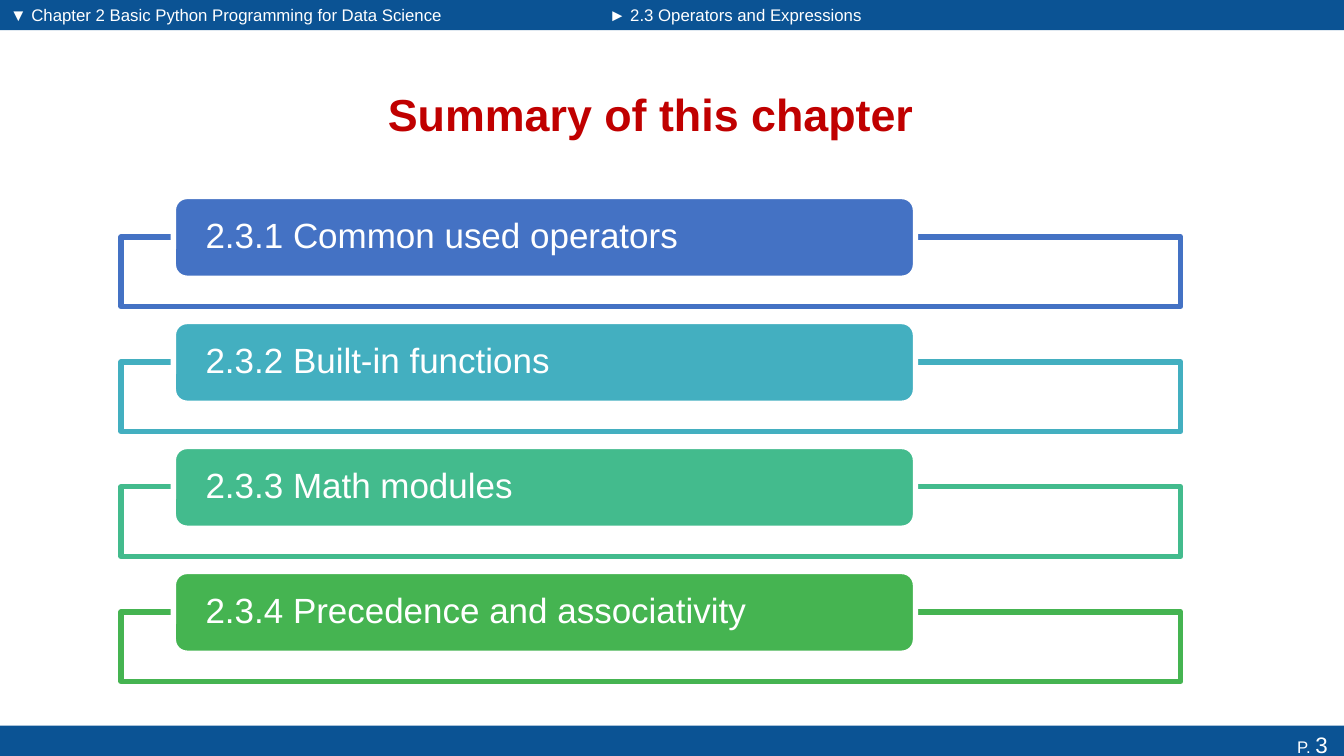
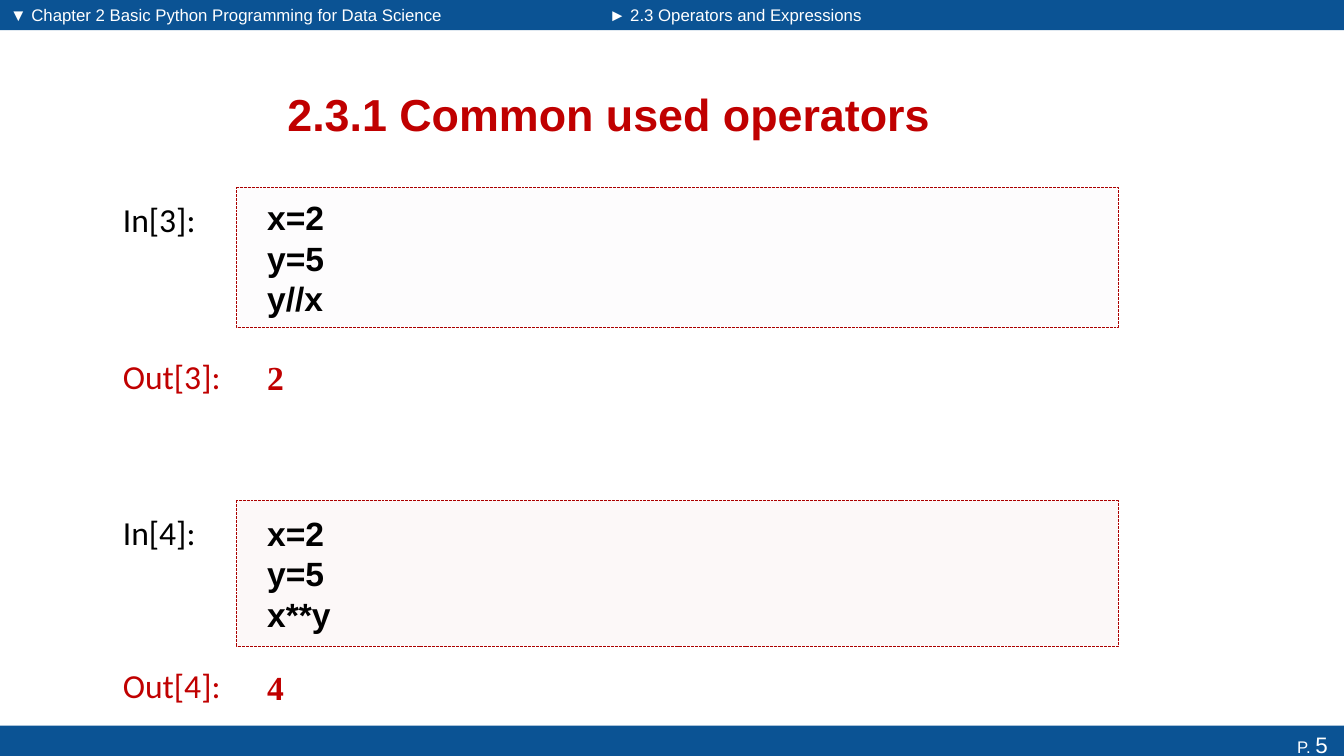
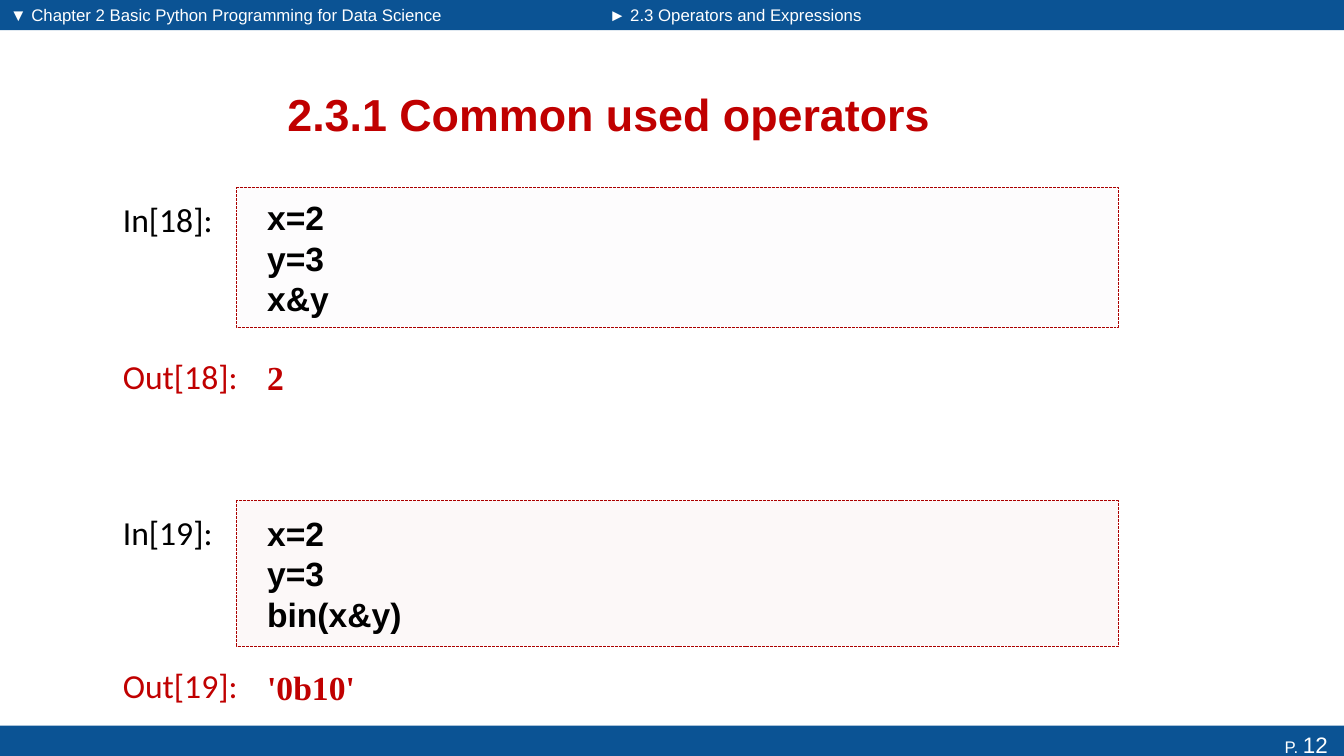
from dataclasses import dataclass

from lxml.etree import SubElement
from pptx import Presentation
from pptx.dml.color import RGBColor
from pptx.enum.dml import MSO_LINE
from pptx.enum.shapes import MSO_SHAPE
from pptx.enum.text import MSO_ANCHOR, MSO_AUTO_SIZE, PP_ALIGN
from pptx.oxml.ns import qn
from pptx.util import Inches, Pt

WIDTH, HEIGHT, BAND = 13.33, 7.5, 0.3
HEADER_SPLIT = 5.93
TWO_CONTENT = 3

BLUE = RGBColor(0x0B, 0x53, 0x94)
RED = RGBColor(0xC0, 0x00, 0x00)
DARK_RED = RGBColor(0xAB, 0x00, 0x00)
BLACK = RGBColor(0x00, 0x00, 0x00)
WHITE = RGBColor(0xFF, 0xFF, 0xFF)
GREY_TINT = RGBColor(0xF1, 0xEE, 0xF4)
PINK_TINT = RGBColor(0xED, 0xCD, 0xCB)
TOPIC_COLOURS = (
    RGBColor(0x44, 0x72, 0xC4),
    RGBColor(0x43, 0xAF, 0xC0),
    RGBColor(0x43, 0xBB, 0x8D),
    RGBColor(0x45, 0xB4, 0x51),
)

CHAPTER = "▼ Chapter 2 Basic Python Programming for Data Science"
SECTION = "► 2.3 Operators and Expressions"
OPERATORS = "2.3.1 Common used operators"
TOPICS = (
    OPERATORS,
    "2.3.2 Built-in functions",
    "2.3.3 Math modules",
    "2.3.4 Precedence and associativity",
)
TOPIC_TOP, TOPIC_STEP = 1.95, 1.24
LABEL_LEFT, CODE_LEFT, CODE_WIDTH = 1.12, 2.35, 8.74
LABEL_DROP = 0.06
CODE_INSETS = (0.3, 0.05, 0.1, 0.05)


@dataclass(frozen=True)
class Box:
    left: float
    top: float
    width: float
    height: float

    def emu(self) -> tuple:
        return tuple(Inches(v) for v in (self.left, self.top, self.width, self.height))


@dataclass(frozen=True)
class Style:
    size: float
    colour: RGBColor
    font: str = "Arial"
    bold: bool = False


@dataclass(frozen=True)
class Slot:
    """Where a notebook cell stands on the slide."""
    top: float
    height: float
    output_top: float
    tint: RGBColor


@dataclass(frozen=True)
class Cell:
    number: int
    code: tuple[str, ...]
    output: str


TITLE = Style(32, RED, bold=True)
HEADER = Style(12, WHITE)
PAGE_NUMBER = Style(16, WHITE)
TOPIC = Style(25, WHITE)
CODE = Style(24, BLACK, bold=True)
OUTPUT = Style(24, RED, "Times New Roman", True)
IN_LABEL = Style(24, BLACK, "Calibri")
OUT_LABEL = Style(24, RED, "Calibri")

SLOTS = (
    Slot(1.86, 1.39, 3.42, GREY_TINT),
    Slot(4.97, 1.44, 6.49, PINK_TINT),
)
TOPICS_TITLE_BOX = Box(2.51, 0.68, 7.89, 0.9)
CELLS_TITLE_BOX = Box(0.68, 0.68, 10.72, 0.9)


def add_run(p, text: str, style: Style) -> None:
    r = p.add_run()
    r.text = text
    r.font.size = Pt(style.size)
    r.font.name = style.font
    r.font.bold = style.bold
    r.font.color.rgb = style.colour


def write(sp, lines: tuple[str, ...], style: Style, align=PP_ALIGN.LEFT,
          anchor=MSO_ANCHOR.TOP, insets=(0.1, 0.05, 0.1, 0.05), wrap=True):
    """Fill a shape with one paragraph per line and return its text frame."""
    tf = sp.text_frame
    tf.auto_size = MSO_AUTO_SIZE.NONE
    tf.word_wrap = wrap
    tf.vertical_anchor = anchor
    (tf.margin_left, tf.margin_top,
     tf.margin_right, tf.margin_bottom) = (Inches(v) for v in insets)
    for i, line in enumerate(lines):
        p = tf.paragraphs[0] if i == 0 else tf.add_paragraph()
        p.alignment = align
        p.space_before = Pt(0)
        add_run(p, line, style)
    return tf


def add_box(s, box: Box, fill: RGBColor, line: RGBColor | None = None,
            line_width: float = 0, opacity: int = 100, kind=MSO_SHAPE.RECTANGLE):
    sp = s.shapes.add_shape(kind, *box.emu())
    sp.shadow.inherit = False
    sp.fill.solid()
    sp.fill.fore_color.rgb = fill
    if opacity < 100:
        colour = sp._element.spPr.find(qn("a:solidFill"))[0]
        SubElement(colour, qn("a:alpha"), val=str(opacity * 1000))
    if line is None:
        sp.line.fill.background()
    else:
        sp.line.color.rgb = line
        sp.line.width = Pt(line_width)
    return sp


def place(sp, box: Box) -> None:
    sp.left, sp.top, sp.width, sp.height = box.emu()


def add_bands(s, page: int) -> None:
    """Draw the header and footer bands behind the placeholders."""
    chapter = add_box(s, Box(0, 0, HEADER_SPLIT, BAND), BLUE)
    section = add_box(s, Box(HEADER_SPLIT, 0, WIDTH - HEADER_SPLIT, BAND), BLUE)
    footer = add_box(s, Box(0, HEIGHT - BAND, WIDTH, BAND), BLUE)
    tf = write(footer, ("P. ",), HEADER, PP_ALIGN.RIGHT, insets=(0.1, 0.05, 0.16, 0))
    add_run(tf.paragraphs[0], str(page), PAGE_NUMBER)
    for i, band in enumerate((chapter, section, footer)):
        s.shapes._spTree.insert(2 + i, band._element)


def add_slide(prs, title: str, title_box: Box, page: int):
    s = prs.slides.add_slide(prs.slide_layouts[TWO_CONTENT])
    add_bands(s, page)
    place(s.shapes.title, title_box)
    write(s.shapes.title, (title,), TITLE, PP_ALIGN.CENTER, MSO_ANCHOR.MIDDLE)
    headers = (
        (1, CHAPTER, Box(0, 0, 4.83, 0.29)),
        (2, SECTION, Box(HEADER_SPLIT + 0.01, 0, 2.78, 0.29)),
    )
    for idx, text, box in headers:
        sp = s.placeholders[idx]
        place(sp, box)
        p = write(sp, (text,), HEADER).paragraphs[0]
        pPr = p._p.get_or_add_pPr()
        pPr.set("marL", str(Inches(0.38)))
        pPr.set("indent", str(-Inches(0.38)))
        SubElement(pPr, qn("a:buNone"))
    return s


def add_topic(s, row: int, text: str, colour: RGBColor) -> None:
    top = TOPIC_TOP + row * TOPIC_STEP
    add_box(s, Box(1.2, top + 0.4, 10.51, 0.69), WHITE, colour, 3.78, 90)
    tab = add_box(s, Box(1.72, top, 7.36, 0.81), colour, WHITE, 3.78,
                  kind=MSO_SHAPE.ROUNDED_RECTANGLE)
    tf = write(tab, (text,), TOPIC, anchor=MSO_ANCHOR.MIDDLE, insets=(0.28, 0, 0.28, 0))
    tf.paragraphs[0].line_spacing = 0.9


def add_label(s, text: str, top: float, style: Style) -> None:
    box = Box(LABEL_LEFT, top + LABEL_DROP, 1.35, 0.5)
    write(s.shapes.add_textbox(*box.emu()), (text,), style, wrap=False)


def add_cell(s, cell: Cell, slot: Slot) -> None:
    add_label(s, f"In[{cell.number}]:", slot.top, IN_LABEL)
    code = add_box(s, Box(CODE_LEFT, slot.top, CODE_WIDTH, slot.height),
                   slot.tint, DARK_RED, 0.7, 13)
    code.line.dash_style = MSO_LINE.SQUARE_DOT
    write(code, cell.code, CODE, anchor=MSO_ANCHOR.MIDDLE, insets=CODE_INSETS)
    add_label(s, f"Out[{cell.number}]:", slot.output_top, OUT_LABEL)
    output = s.shapes.add_textbox(
        *Box(CODE_LEFT, slot.output_top, CODE_WIDTH, 0.65).emu())
    write(output, (cell.output,), OUTPUT, anchor=MSO_ANCHOR.MIDDLE, insets=CODE_INSETS)


def add_cells_slide(prs, page: int, cells: tuple[Cell, ...]) -> None:
    s = add_slide(prs, OPERATORS, CELLS_TITLE_BOX, page)
    for cell, slot in zip(cells, SLOTS):
        add_cell(s, cell, slot)


def main() -> None:
    prs = Presentation()
    prs.slide_width, prs.slide_height = Inches(WIDTH), Inches(HEIGHT)

    s = add_slide(prs, "Summary of this chapter", TOPICS_TITLE_BOX, 3)
    for row, (text, colour) in enumerate(zip(TOPICS, TOPIC_COLOURS)):
        add_topic(s, row, text, colour)

    add_cells_slide(prs, 5, (
        Cell(3, ("x=2", "y=5", "y//x"), "2"),
        Cell(4, ("x=2", "y=5", "x**y"), "4"),
    ))
    add_cells_slide(prs, 12, (
        Cell(18, ("x=2", "y=3", "x&y"), "2"),
        Cell(19, ("x=2", "y=3", "bin(x&y)"), "'0b10'"),
    ))
    prs.save("out.pptx")


if __name__ == "__main__":
    main()
